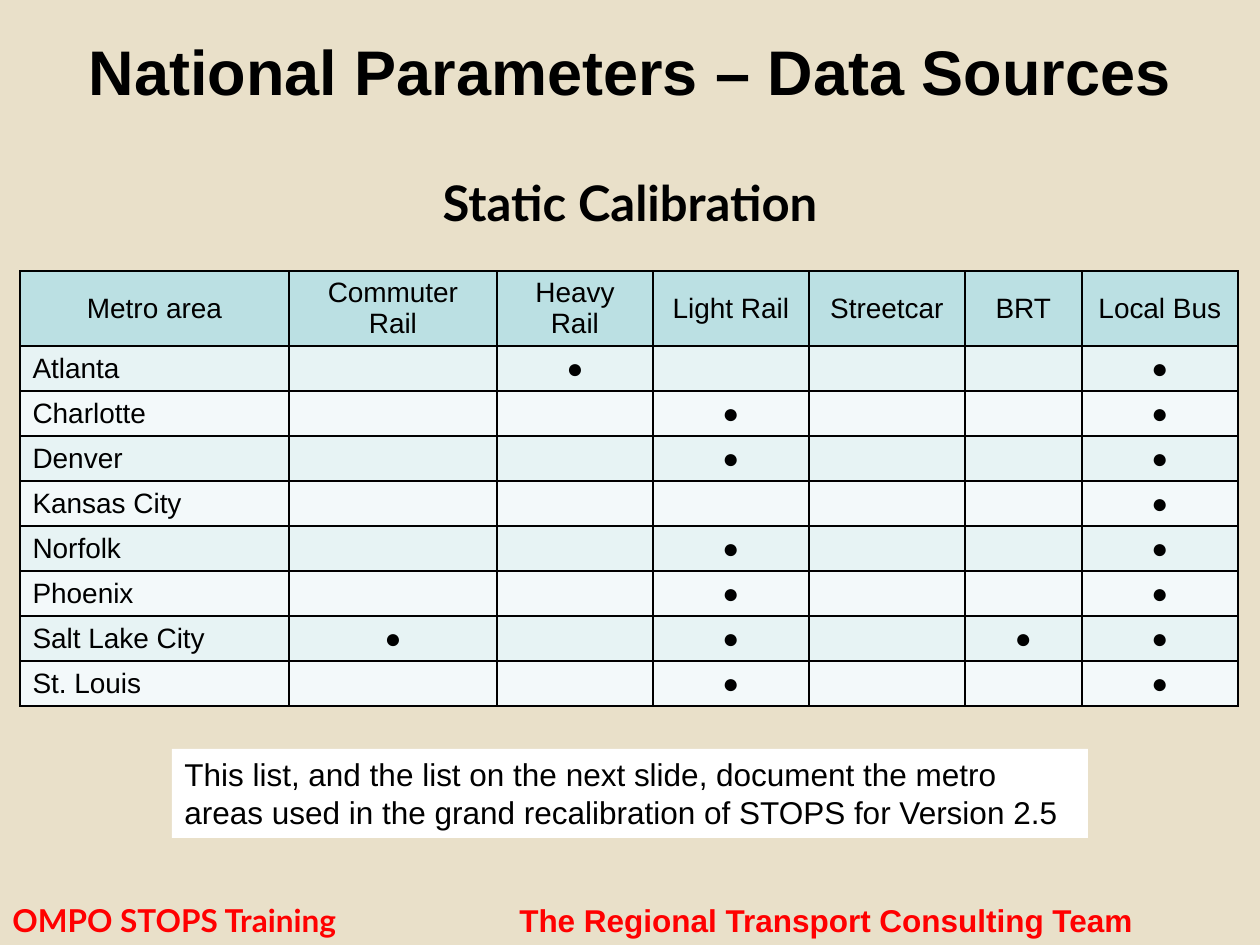
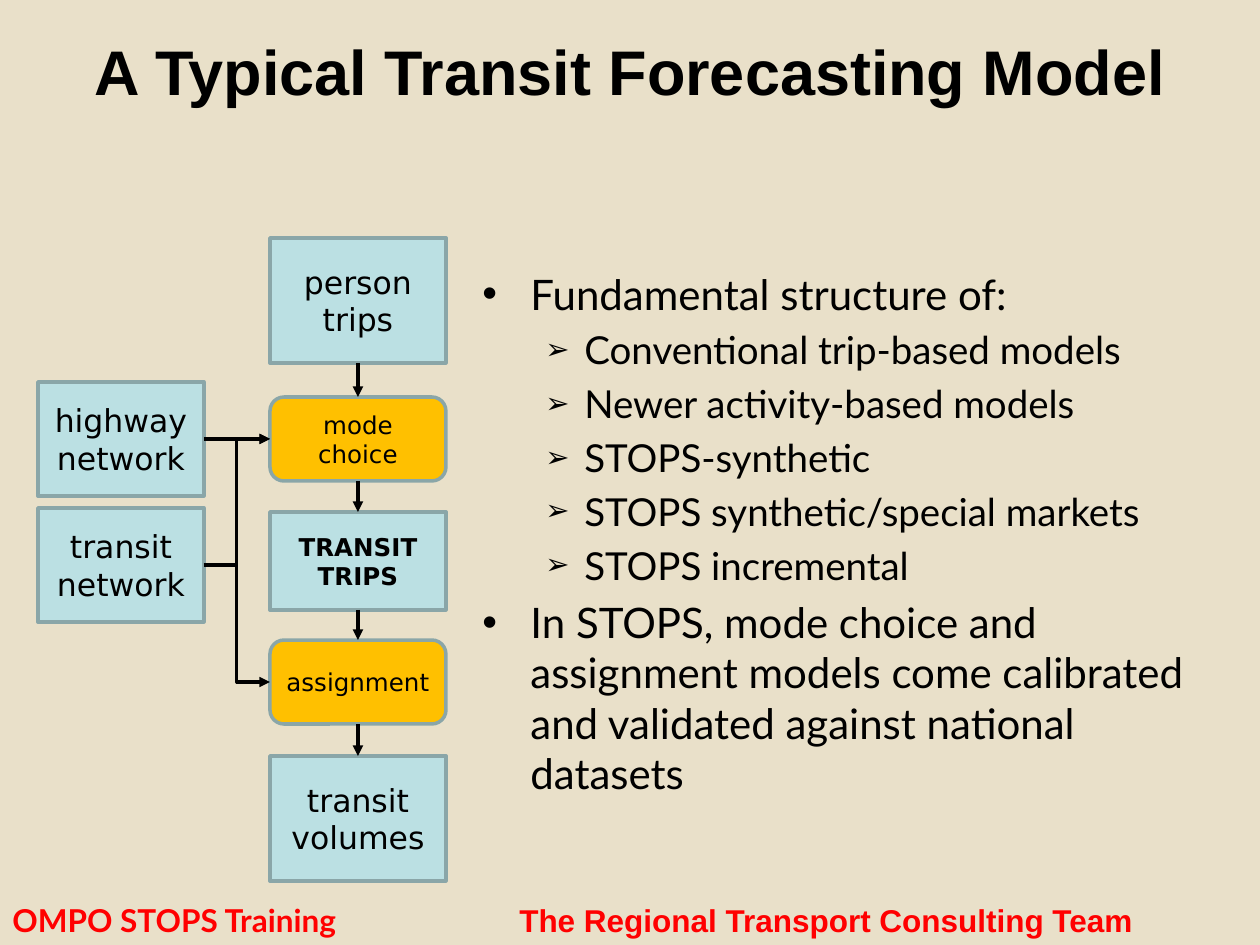
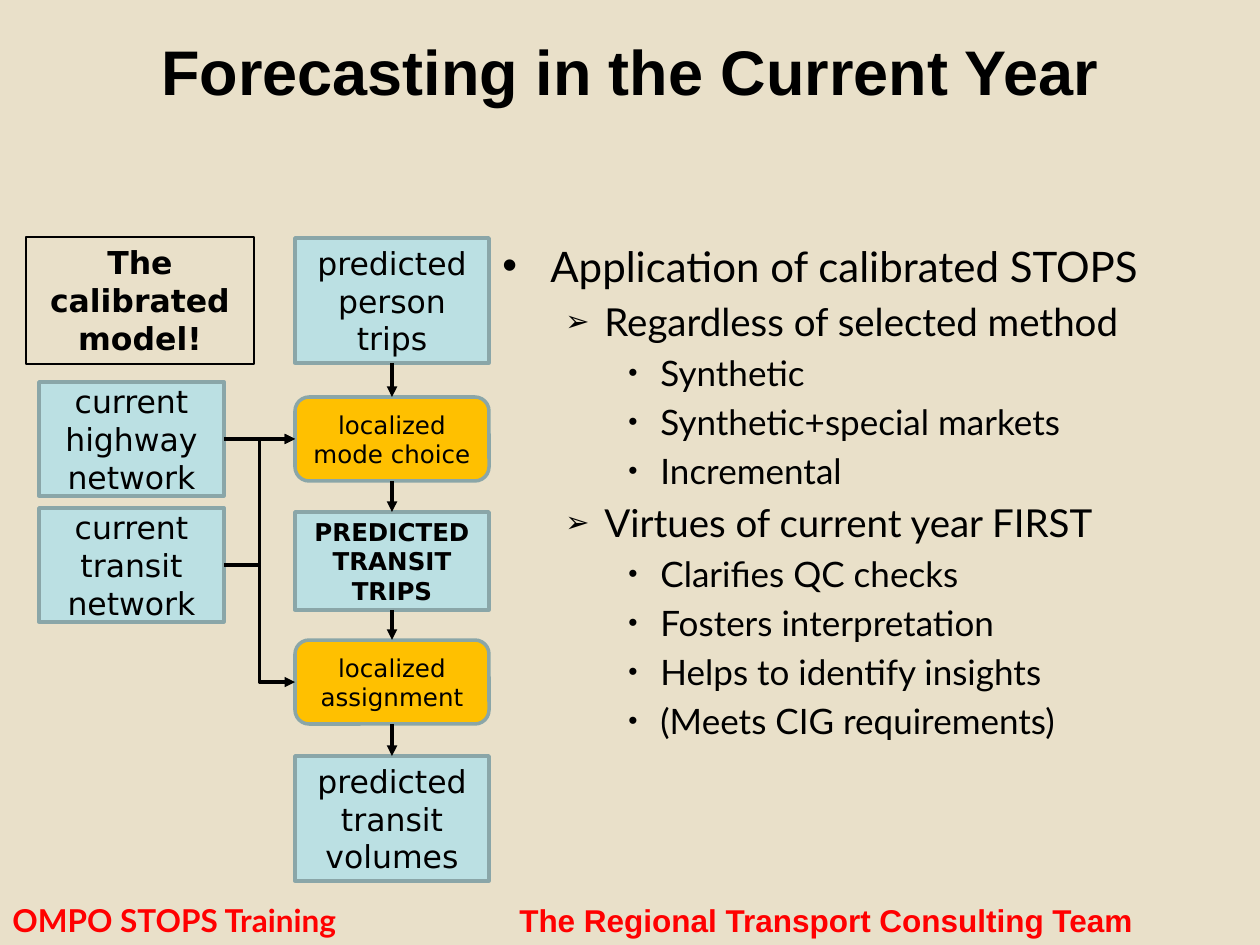
from lxml.etree import SubElement
from pptx import Presentation
from pptx.dml.color import RGBColor
from pptx.enum.dml import MSO_LINE
from pptx.enum.shapes import MSO_CONNECTOR, MSO_SHAPE
from pptx.enum.text import MSO_ANCHOR, MSO_AUTO_SIZE, PP_ALIGN
from pptx.oxml.ns import qn
from pptx.util import Pt

COLORS = {
    "back": "E9E0C9", "ink": "000000", "foot": "FF0000", "note": "FFFFFF",
    "data": "BBE0E3", "step": "FFC000", "edge": "8AA6A8",
    "odd": "E7F3F4", "even": "F3F9FA",
}
HEAD, BODY, FLOW = "Arial", "Lato", "DejaVu Sans"
FOOT = ("OMPO STOPS Training", "The Regional Transport Consulting Team")

MODES = ["Commuter Rail", "Heavy Rail", "Light Rail", "Streetcar", "BRT", "Local Bus"]
METROS = {
    "Atlanta": ["Heavy Rail", "Local Bus"],
    "Charlotte": ["Light Rail", "Local Bus"],
    "Denver": ["Light Rail", "Local Bus"],
    "Kansas City": ["Local Bus"],
    "Norfolk": ["Light Rail", "Local Bus"],
    "Phoenix": ["Light Rail", "Local Bus"],
    "Salt Lake City": ["Commuter Rail", "Light Rail", "BRT", "Local Bus"],
    "St. Louis": ["Light Rail", "Local Bus"],
}
WIDTHS = [269, 208, 156, 156, 156, 117, 156]
NOTE = ("This list, and the list on the next slide, document the metro areas "
        "used in the grand recalibration of STOPS for Version 2.5")

MODELS = [
    {
        "title": "A Typical Transit Forecasting Model",
        "steps": ["person trips", "mode choice", "TRANSIT TRIPS", "assignment",
                  "transit volumes"],
        "inputs": ["highway network", "transit network"],
        "main": (270, 176), "side": (38, 166),
        "box": (470, 262, 752, 587),
        "points": [
            (0, "Fundamental structure of:"),
            (1, "Conventional trip-based models"),
            (1, "Newer activity-based models"),
            (1, "STOPS-synthetic"),
            (1, "STOPS synthetic/special markets"),
            (1, "STOPS incremental"),
            (0, "In STOPS, mode choice and assignment models come calibrated "
                "and validated against national datasets"),
        ],
    },
    {
        "title": "Forecasting in the Current Year",
        "steps": ["predicted person trips", "localized mode choice",
                  "PREDICTED\vTRANSIT TRIPS", "localized assignment",
                  "predicted transit volumes"],
        "inputs": ["current highway network", "current transit network"],
        "main": (295, 194), "side": (39, 185),
        "box": (490, 234, 687, 587),
        "points": [
            (0, "Application of calibrated STOPS"),
            (1, "Regardless of selected method"),
            (2, "Synthetic"),
            (2, "Synthetic+special markets"),
            (2, "Incremental"),
            (1, "Virtues of current year FIRST"),
            (2, "Clarifies QC checks"),
            (2, "Fosters interpretation"),
            (2, "Helps to identify insights"),
            (2, "(Meets CIG requirements)"),
        ],
        "label": "The calibrated model!",
    },
]
# top, height, fill, size, bold
STEPS = [
    (238, 125, "data", 18, False),
    (397, 84, "step", 14, False),
    (512, 98, "data", 14, True),
    (640, 84, "step", 14, False),
    (756, 125, "data", 18, False),
]
SIDES = [382, 508]
# bullet, bullet size %, left, hanging, text size
LEVELS = [("•", 100, 48, 48, 24), ("➢", 75, 102, 39, 22), ("•", 75, 158, 32, 20)]


def px(n):
    return round(n * 914400 / 126)


def rgb(name):
    return RGBColor.from_string(COLORS[name])


def style(para, size, face, bold=False, color="ink", align=PP_ALIGN.LEFT):
    para.alignment = align
    font = para.font
    font.size, font.name, font.bold = Pt(size), face, bold
    font.color.rgb = rgb(color)


def add_text(slide, box):
    frame = slide.shapes.add_textbox(*map(px, box)).text_frame
    frame.word_wrap = True
    return frame


def add_box(slide, box, text, fill=None, edge=None, width=2, size=18, face=FLOW,
            bold=False, kind=MSO_SHAPE.RECTANGLE, align=PP_ALIGN.CENTER,
            anchor=MSO_ANCHOR.MIDDLE):
    shape = slide.shapes.add_shape(kind, *map(px, box))
    shape.shadow.inherit = False
    if fill:
        shape.fill.solid()
        shape.fill.fore_color.rgb = rgb(fill)
    else:
        shape.fill.background()
    if edge:
        shape.line.color.rgb = rgb(edge)
        shape.line.width = Pt(width)
    else:
        shape.line.fill.background()
    frame = shape.text_frame
    frame.word_wrap = True
    frame.vertical_anchor = anchor
    frame.text = text
    style(frame.paragraphs[0], size, face, bold, align=align)
    return shape


def join(slide, start, out, end, into, width=2, kind=MSO_CONNECTOR.STRAIGHT):
    """Draw an arrow between two connection sites."""
    line = slide.shapes.add_connector(kind, 0, 0, 0, 0)
    line.begin_connect(start, out)
    line.end_connect(end, into)
    line.line.color.rgb = rgb("ink")
    line.line.width = Pt(width)
    line.line.dash_style = MSO_LINE.SOLID
    SubElement(line.line._get_or_add_ln(), qn("a:tailEnd"), type="triangle")
    SubElement(line._element.spPr, qn("a:effectLst"))


def start_slide(deck, title):
    slide = deck.slides.add_slide(deck.slide_layouts[5])
    head = slide.shapes.title
    head.left, head.top, head.width, head.height = map(px, (63, 21, 1134, 98))
    frame = head.text_frame
    frame.text = title
    frame.auto_size = MSO_AUTO_SIZE.NONE
    frame.vertical_anchor = MSO_ANCHOR.MIDDLE
    style(frame.paragraphs[0], 36, HEAD, True, align=PP_ALIGN.CENTER)

    para = add_text(slide, (0, 895, 1260, 50)).paragraphs[0]
    tabs = SubElement(para._p.get_or_add_pPr(), qn("a:tabLst"))
    SubElement(tabs, qn("a:tab"), pos=str(px(507)), algn="l")
    style(para, 18, BODY, True, "foot")
    for text, face in zip((FOOT[0] + "\t", FOOT[1]), (BODY, HEAD)):
        run = para.add_run()
        run.text, run.font.name = text, face
    return slide


def add_border(cell):
    props = cell._tc.get_or_add_tcPr()
    for side in ("lnL", "lnR", "lnT", "lnB"):
        line = SubElement(props, qn("a:" + side), w=str(Pt(1)))
        fill = SubElement(line, qn("a:solidFill"))
        SubElement(fill, qn("a:srgbClr"), val=COLORS["ink"])


def add_grid(slide):
    rows = [["Metro area"] + MODES]
    for metro, used in METROS.items():
        rows.append([metro] + ["●" if mode in used else "" for mode in MODES])
    highs = [75] + [45] * len(METROS)
    table = slide.shapes.add_table(len(rows), len(WIDTHS), px(20), px(271),
                                   px(sum(WIDTHS)), px(sum(highs))).table
    table.horz_banding = False
    for col, wide in zip(table.columns, WIDTHS):
        col.width = px(wide)
    for r, (row, high) in enumerate(zip(rows, highs)):
        table.rows[r].height = px(high)
        fill = "data" if r == 0 else "odd" if r % 2 else "even"
        for c, text in enumerate(row):
            cell = table.cell(r, c)
            add_border(cell)
            cell.fill.solid()
            cell.fill.fore_color.rgb = rgb(fill)
            cell.margin_top = cell.margin_bottom = 0
            cell.vertical_anchor = MSO_ANCHOR.MIDDLE
            cell.text = text
            left = r > 0 and c == 0
            style(cell.text_frame.paragraphs[0], 16, HEAD,
                  align=PP_ALIGN.LEFT if left else PP_ALIGN.CENTER)


def add_points(slide, box, points):
    frame = add_text(slide, box)
    for n, (level, text) in enumerate(points):
        mark, scale, left, hang, size = LEVELS[level]
        para = frame.add_paragraph() if n else frame.paragraphs[0]
        para.text, para.level = text, level
        props = para._p.get_or_add_pPr()
        props.set("marL", str(px(left)))
        props.set("indent", str(-px(hang)))
        SubElement(props, qn("a:buSzPct"), val=str(scale * 1000))
        SubElement(props, qn("a:buFont"), typeface=HEAD)
        SubElement(props, qn("a:buChar"), char=mark)
        if n:
            para.space_before = Pt(size * 0.2)
        style(para, size, BODY)


def add_flow(slide, model):
    left, wide = model["main"]
    steps = []
    for text, (top, high, fill, size, bold) in zip(model["steps"], STEPS):
        kind = MSO_SHAPE.ROUNDED_RECTANGLE if fill == "step" else MSO_SHAPE.RECTANGLE
        steps.append(add_box(slide, (left, top, wide, high), text, fill, "edge",
                             size=size, bold=bold, kind=kind))
    left, wide = model["side"]
    roads, transit = [add_box(slide, (left, top, wide, 114), text, "data", "edge")
                      for text, top in zip(model["inputs"], SIDES)]
    for upper, lower in zip(steps, steps[1:]):
        join(slide, upper, 2, lower, 0)
    choice, assign = steps[1], steps[3]
    join(slide, roads, 3, choice, 1, 1.75)
    for goal in (choice, assign):
        join(slide, transit, 3, goal, 1, 1.75, MSO_CONNECTOR.ELBOW)


def main():
    deck = Presentation()
    deck.slide_width, deck.slide_height = px(1260), px(945)
    back = deck.slide_master.background.fill
    back.solid()
    back.fore_color.rgb = rgb("back")

    slide = start_slide(deck, "National Parameters – Data Sources")
    para = add_text(slide, (63, 166, 1134, 80)).paragraphs[0]
    para.text = "Static Calibration"
    style(para, 28, BODY, True, align=PP_ALIGN.CENTER)
    add_grid(slide)
    add_box(slide, (172, 749, 916, 89), NOTE, "note", face=HEAD,
            align=PP_ALIGN.LEFT, anchor=MSO_ANCHOR.TOP)

    for model in MODELS:
        slide = start_slide(deck, model["title"])
        add_points(slide, model["box"], model["points"])
        add_flow(slide, model)
        if "label" in model:
            add_box(slide, (26, 237, 228, 127), model["label"], edge="ink",
                    width=0.75, bold=True, anchor=MSO_ANCHOR.TOP)
    deck.save("out.pptx")


if __name__ == "__main__":
    main()
